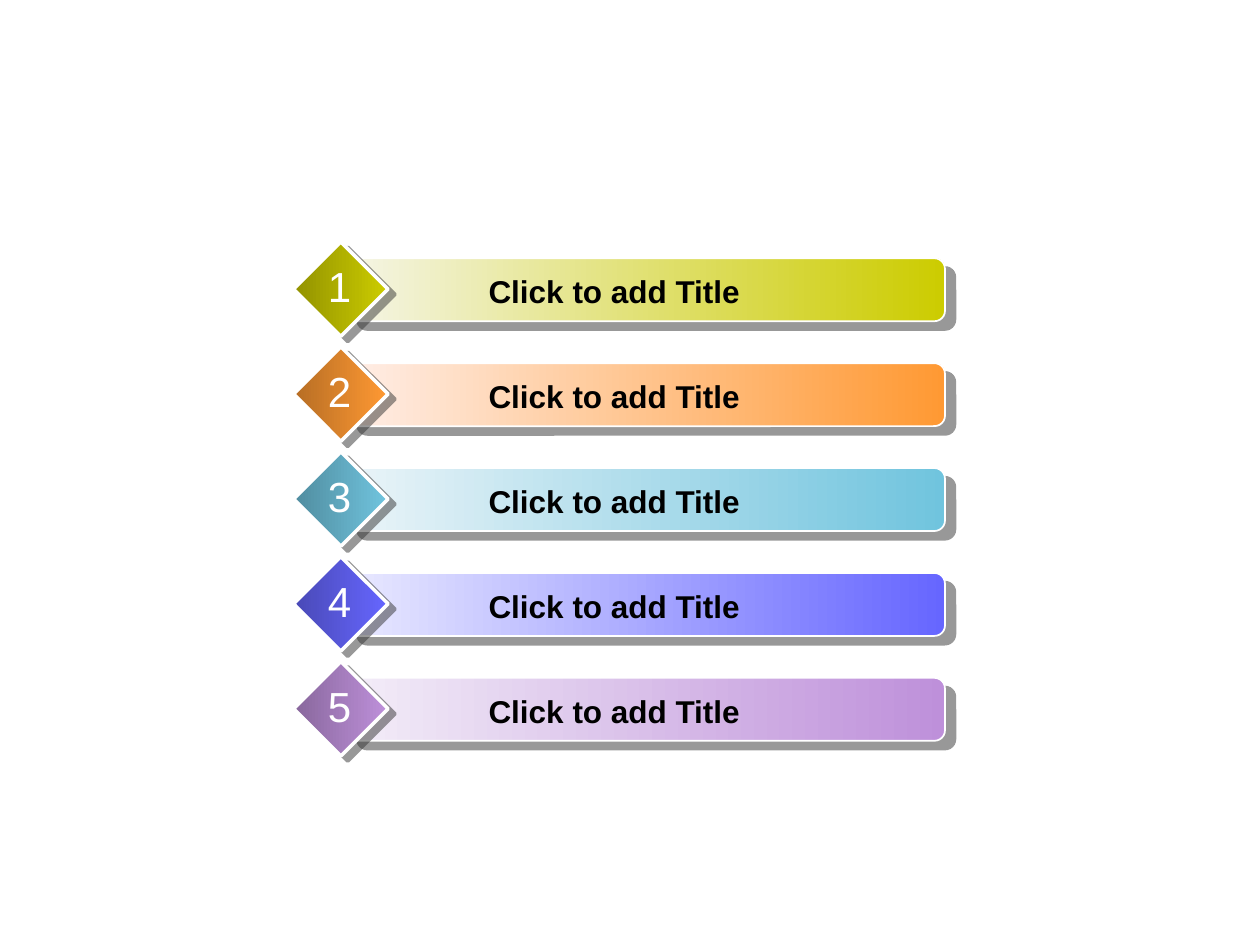
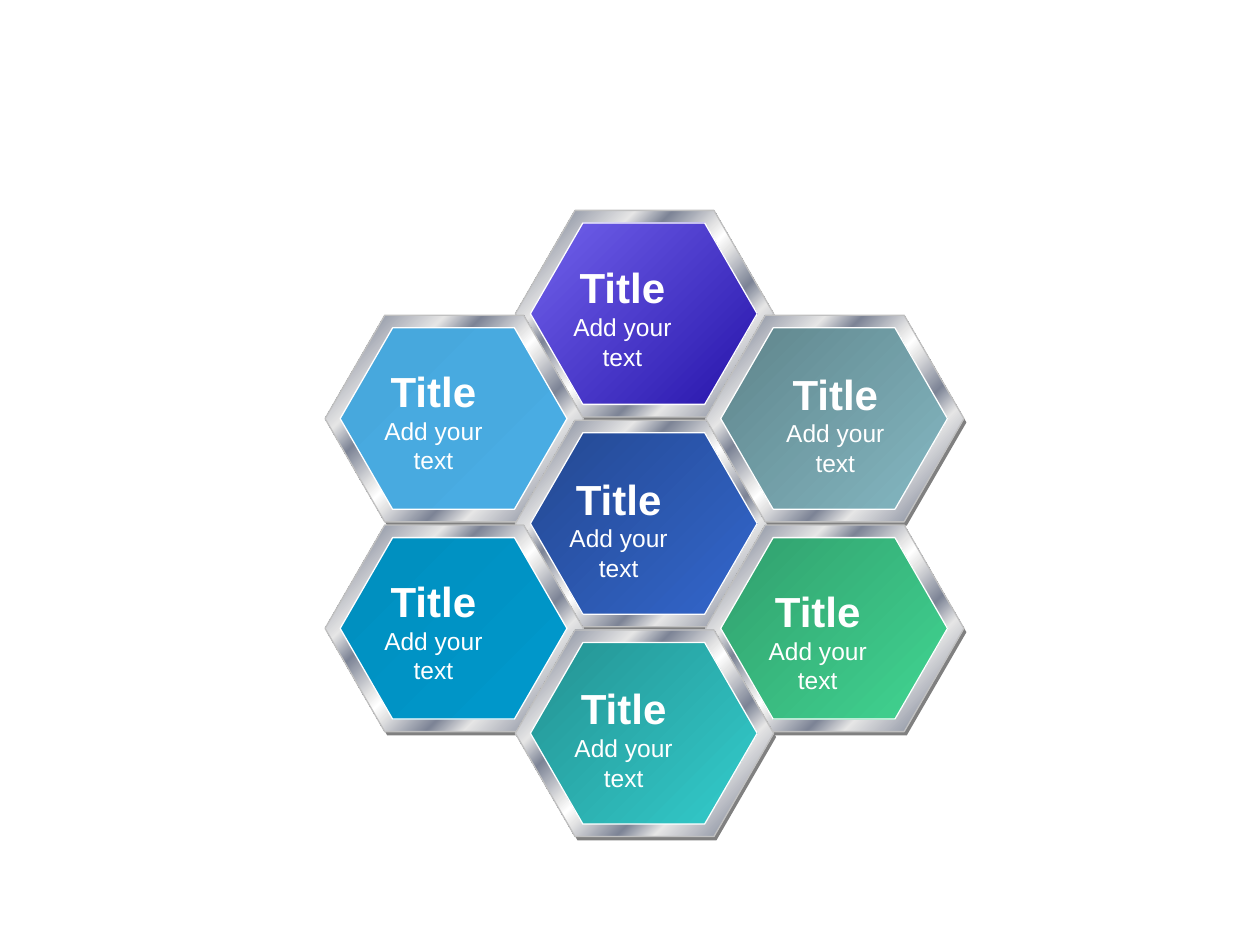
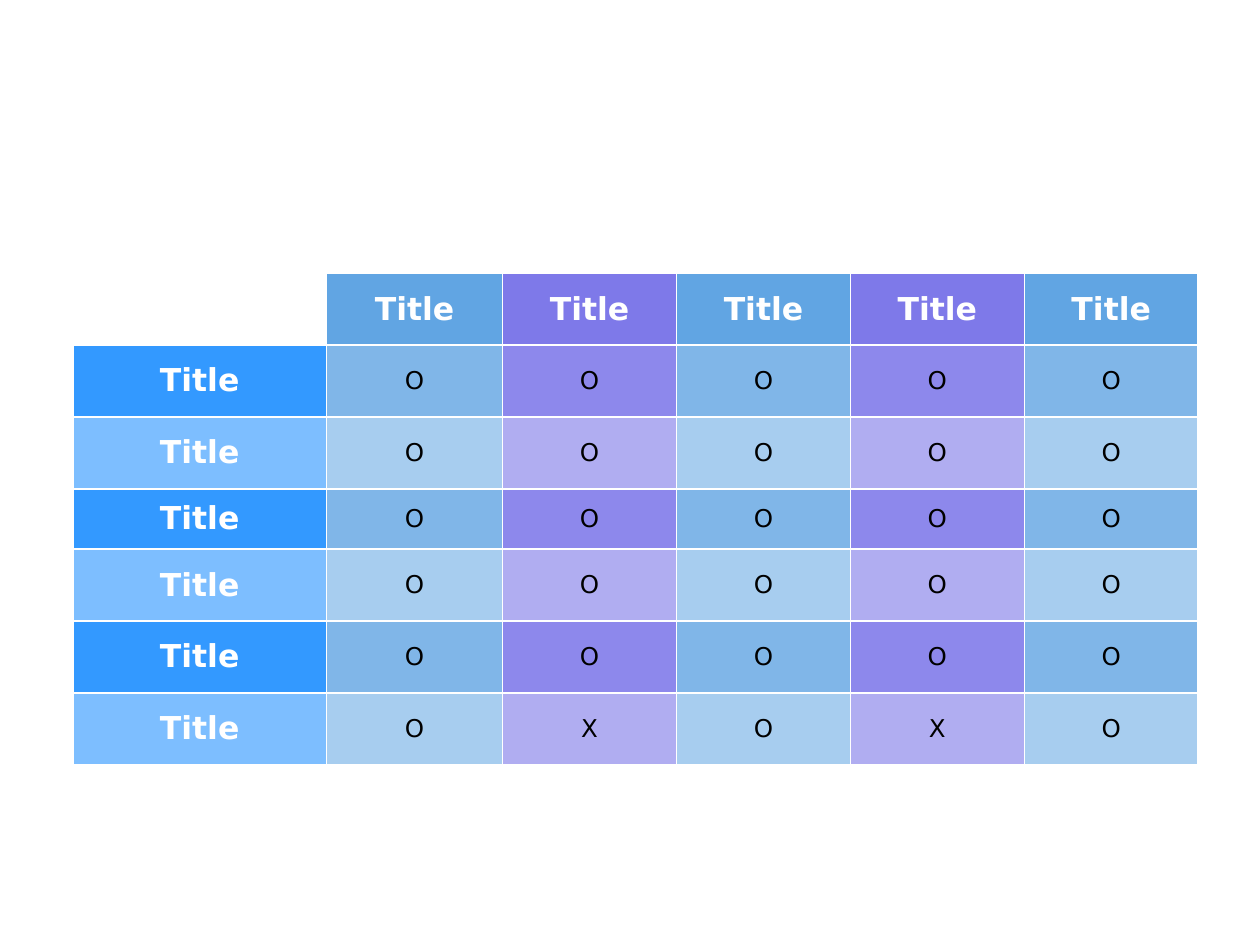
from lxml import etree
from pptx import Presentation
from pptx.dml.color import RGBColor
from pptx.enum.shapes import MSO_SHAPE
from pptx.enum.text import MSO_ANCHOR, PP_ALIGN
from pptx.oxml.ns import qn
from pptx.util import Inches, Pt

ROUNDED = MSO_SHAPE.ROUNDED_RECTANGLE
DIAMOND = MSO_SHAPE.DIAMOND
HEXAGON = MSO_SHAPE.HEXAGON
CENTER = PP_ALIGN.CENTER
MIDDLE = MSO_ANCHOR.MIDDLE
BLANK_LAYOUT = 6

WHITE, BLACK = "FFFFFF", "000000"
SHADOW, HEX_SHADOW, RIM_LINE = "333333", "808080", "C0C0C0"
SANS, TABLE_FONT = "Arial", "DejaVu Sans"

# diamond start, bar start, shared end colour
BARS = [
    ("929200", "F5F5E6", "CCCC00"),
    ("B66D24", "FFEEE7", "FF9933"),
    ("508C9F", "EAF4F8", "70C4DE"),
    ("4949B6", "E9E9FF", "6666FF"),
    ("88679C", "F3EDF8", "BE90DA"),
]
BAR_TOP, BAR_PITCH = 2.05, 0.8325

STEEL, SILVER = "7D8496", "E6E6E6"
RIM = [(0, SILVER), (7, STEEL), (26, SILVER), (34, STEEL), (46, SILVER),
       (50, WHITE), (54, SILVER), (66, STEEL), (74, SILVER), (93, STEEL),
       (100, SILVER)]
# column, row, start colour, end colour, label offset, label on one line
HEXAGONS = [
    (1, 0, "7262EC", "2614AA", (0.36, 0.36), False),
    (0, 1, "47A8DD", "49ACE3", (0.37, 0.35), False),
    (1, 2, "244992", "3366CC", (0.33, 0.37), False),
    (2, 1, "5F848B", "85B9C3", (0.36, 0.37), True),
    (2, 3, "319F6D", "41D592", (0.40, 0.43), False),
    (0, 3, "008EBE", "0099CC", (0.37, 0.35), False),
    (1, 4, "249292", "33CCCC", (0.37, 0.37), False),
]
HEX_LEFT, HEX_TOP, HEX_COLUMN, HEX_ROW = 2.58, 1.67, 1.51, 0.8325

COLUMN_WIDTHS = [2.01, 1.4, 1.38, 1.38, 1.38, 1.38]
ROW_HEIGHTS = [0.57, 0.57, 0.57, 0.48, 0.57, 0.57, 0.57]
MARKS = ["OOOOO"] * 5 + ["OXOXO"]
HEADER_FILLS = ["61A5E3", "7E79E9"]
LABEL_FILLS = ["3399FF", "7DBEFF"]
BODY_FILLS = [["80B6E8", "8D88EC"], ["A7CDEF", "B0ADF1"]]


def rgb(color):
    return RGBColor.from_string(color)


def add_element(parent, tag, **attributes):
    child = etree.SubElement(parent, qn(tag))
    for name, value in attributes.items():
        child.set(name, str(value))
    return child


def set_gradient(shape, stops, angle):
    """Fill with (percent, colour) stops; the angle runs clockwise."""
    shape.fill.gradient()
    shape.fill.gradient_angle = -angle % 360
    stop_list = next(shape.element.iter(qn("a:gsLst")))
    for stop in list(stop_list):
        stop_list.remove(stop)
    for percent, color in stops:
        stop = add_element(stop_list, "a:gs", pos=percent * 1000)
        add_element(stop, "a:srgbClr", val=color)


def set_shadow(shape, distance, angle):
    effects = next(shape.element.iter(qn("a:effectLst")))
    outer = add_element(effects, "a:outerShdw", blurRad=0, dist=Pt(distance),
                        dir=angle * 60000, algn="ctr", rotWithShape=0)
    color = add_element(outer, "a:srgbClr", val=SHADOW)
    add_element(color, "a:alpha", val=50000)


def add_figure(slide, preset, area, fill, angle=0, line=None, adjust=None):
    """Add a shape; fill is one colour or a list of gradient stops."""
    shape = slide.shapes.add_shape(preset, *map(Inches, area))
    shape.shadow.inherit = False
    if adjust is not None:
        shape.adjustments[0] = adjust
    if isinstance(fill, str):
        shape.fill.solid()
        shape.fill.fore_color.rgb = rgb(fill)
    else:
        set_gradient(shape, fill, angle)
    if line:
        color, width = line
        shape.line.color.rgb = rgb(color)
        shape.line.width = Pt(width)
    else:
        shape.line.fill.background()
    return shape


def write(para, text, size, color, bold=False, font=SANS):
    para.alignment = CENTER
    span = para.add_run()
    span.text = text
    span.font.name = font
    span.font.size = Pt(size)
    span.font.bold = bold
    span.font.color.rgb = rgb(color)


def add_text(slide, area, lines, wrap=True):
    """Add centred lines, each (text, size, colour, bold)."""
    box = slide.shapes.add_textbox(*map(Inches, area))
    frame = box.text_frame
    frame.word_wrap = wrap
    for index, line in enumerate(lines):
        para = frame.add_paragraph() if index else frame.paragraphs[0]
        write(para, *line)
    return frame


def add_bar(slide, number, top, diamond_start, bar_start, end):
    bar = add_figure(slide, ROUNDED, (2.75, top, 4.75, 0.5),
                     [(0, bar_start), (100, end)], line=(WHITE, 1),
                     adjust=0.167)
    set_shadow(bar, 7.8, 40)
    diamond = add_figure(slide, DIAMOND, (2.33, top - 0.13, 0.75, 0.75),
                         [(0, diamond_start), (100, end)], line=(WHITE, 2))
    set_shadow(diamond, 5, 37)
    add_text(slide, (3, top + 0.06, 3.75, 0.4),
             [("Click to add Title", 18, BLACK, True)])
    add_text(slide, (2.5, top - 0.03, 0.39, 0.5),
             [(str(number), 24, WHITE, False)], wrap=False)


def add_hexagon(slide, column, row, start, end, offset, one_line):
    left = HEX_LEFT + column * HEX_COLUMN
    top = HEX_TOP + row * HEX_ROW
    add_figure(slide, HEXAGON, (left + 0.02, top + 0.03, 2.05, 1.64),
               HEX_SHADOW, adjust=0.289)
    add_figure(slide, HEXAGON, (left, top, 2.05, 1.64), RIM, 45,
               (RIM_LINE, 0.75), 0.289)
    add_figure(slide, HEXAGON, (left + 0.12, top + 0.1, 1.8, 1.44),
               [(0, start), (100, end)], 45, (WHITE, 0.75), 0.289)
    frame = add_text(slide, (left + offset[0], top + offset[1], 1.34, 0.73),
                     [("Title", 24, WHITE, True),
                      ("Add your text", 14, WHITE, False)],
                     wrap=not one_line)
    if not one_line:
        frame.margin_left, frame.margin_right = Inches(0.08), Inches(0.44)


def set_borders(cell):
    properties = cell._tc.get_or_add_tcPr()
    for index, side in enumerate(("a:lnL", "a:lnR", "a:lnT", "a:lnB")):
        border = etree.Element(qn(side), w=str(Pt(1)))
        fill = add_element(border, "a:solidFill")
        add_element(fill, "a:srgbClr", val=WHITE)
        properties.insert(index, border)


def cell_fill(row, column):
    if row == 0:
        return HEADER_FILLS[(column - 1) % 2]
    band = (row - 1) % 2
    if column == 0:
        return LABEL_FILLS[band]
    return BODY_FILLS[band][(column - 1) % 2]


def format_cell(cell, row, column):
    set_borders(cell)
    if row == 0 and column == 0:
        cell.fill.background()
        return
    cell.fill.solid()
    cell.fill.fore_color.rgb = rgb(cell_fill(row, column))
    cell.vertical_anchor = MIDDLE
    para = cell.text_frame.paragraphs[0]
    if row == 0 or column == 0:
        write(para, "Title", 18, WHITE, True, TABLE_FONT)
    else:
        write(para, MARKS[row - 1][column - 1], 14, BLACK, font=TABLE_FONT)


def add_comparison_table(slide):
    table = slide.shapes.add_table(
        len(ROW_HEIGHTS), len(COLUMN_WIDTHS), Inches(0.58), Inches(2.17),
        Inches(sum(COLUMN_WIDTHS)), Inches(sum(ROW_HEIGHTS))).table
    table.first_row = table.horz_banding = False
    for column, width in zip(table.columns, COLUMN_WIDTHS):
        column.width = Inches(width)
    for row, height in enumerate(ROW_HEIGHTS):
        table.rows[row].height = Inches(height)
        for column in range(len(COLUMN_WIDTHS)):
            format_cell(table.cell(row, column), row, column)


def main():
    deck = Presentation()
    deck.slide_width, deck.slide_height = Inches(10), Inches(7.5)
    list_page, honeycomb_page, table_page = (
        deck.slides.add_slide(deck.slide_layouts[BLANK_LAYOUT])
        for _ in range(3))
    for index, colors in enumerate(BARS):
        add_bar(list_page, index + 1, BAR_TOP + index * BAR_PITCH, *colors)
    for hexagon in HEXAGONS:
        add_hexagon(honeycomb_page, *hexagon)
    add_comparison_table(table_page)
    deck.save("out.pptx")


if __name__ == "__main__":
    main()
